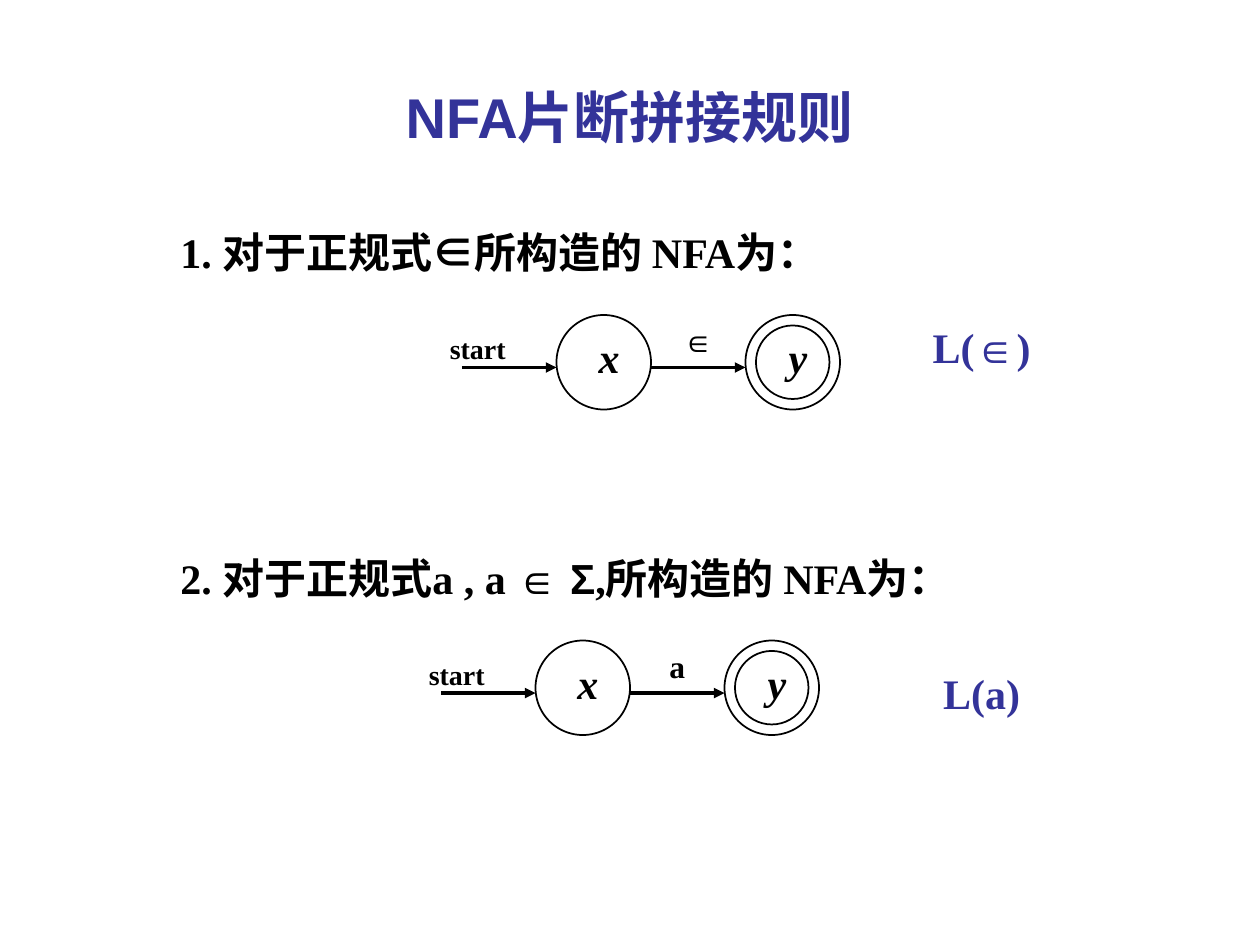
"""Build a slide with the NFA fragments for two basic regular expressions."""
from lxml import etree
from pptx import Presentation
from pptx.dml.color import RGBColor
from pptx.enum.shapes import MSO_CONNECTOR, MSO_SHAPE
from pptx.enum.text import MSO_ANCHOR, MSO_AUTO_SIZE, PP_ALIGN
from pptx.oxml.ns import qn
from pptx.util import Pt

LEFT, MID = PP_ALIGN.LEFT, PP_ALIGN.CENTER
OVAL = MSO_SHAPE.OVAL
LINE = MSO_CONNECTOR.STRAIGHT
GROW = MSO_AUTO_SIZE.SHAPE_TO_FIT_TEXT
ANCHOR = MSO_ANCHOR.MIDDLE


class Theme:
    ink = RGBColor(0x00, 0x00, 0x00)
    blue = RGBColor(0x33, 0x33, 0x99)
    sans, serif = "Arial", "Times New Roman"
    title, body, label, small = 32, 24, 18, 16


def write(para, runs, size, color, italic=None):
    for text, face in runs:
        run = para.add_run()
        run.text = text
        font = run.font
        font.name, font.size, font.bold = face, Pt(size), True
        font.italic = italic
        font.color.rgb = color


def add_text(shapes, box, runs, size, color=Theme.ink, align=MID, italic=None):
    frame = shapes.add_textbox(*map(Pt, box)).text_frame
    frame.word_wrap = True
    frame.auto_size = GROW
    para = frame.paragraphs[0]
    para.alignment = align
    write(para, runs, size, color, italic)


deck = Presentation()
deck.slide_width, deck.slide_height = Pt(720), Pt(540)
slide = deck.slides.add_slide(deck.slide_layouts[5])

title = slide.shapes.title
title.left, title.top, title.width, title.height = map(Pt, (36, 21.6, 648, 90))
title.text_frame.vertical_anchor = ANCHOR
head = title.text_frame.paragraphs[0]
head.alignment = MID
write(head, [("NFA片断拼接规则", Theme.sans)], Theme.title, Theme.blue)

rules = [
    (126, 318, 180, 180,
     [("1. 对于正规式", Theme.serif), ("∈", Theme.sans), ("所构造的 NFA为：", Theme.serif)],
     ("∈", Theme.sans),
     [("L(", Theme.serif), ("∈", Theme.sans), (")", Theme.serif)]),
    (312, 306, 366, 378,
     [("2. 对于正规式a , a ", Theme.serif), ("∈ Σ", Theme.sans),
      (",所构造的 NFA为：", Theme.serif)],
     ("a", Theme.serif),
     [("L(a)", Theme.serif)]),
]

for row, x, y, low, text, symbol, result in rules:
    add_text(slide.shapes, (96, row, 600, 36), text, Theme.body, align=LEFT)
    shapes = slide.shapes.add_group_shape().shapes
    add_text(shapes, (504, low, 114, 36), result, Theme.body, Theme.blue)

    for dx, dy, size in [(0, 0, 54), (108, 0, 54), (114, 6, 42)]:
        ring = shapes.add_shape(OVAL, Pt(x + dx), Pt(y + dy), Pt(size), Pt(size))
        ring.shadow.inherit = False
        ring.fill.background()
        ring.line.color.rgb = Theme.ink
        ring.line.width = Pt(1)

    for dx in (54, -54):
        edge = shapes.add_connector(LINE, Pt(x + dx), Pt(y + 30), Pt(x + dx + 54), Pt(y + 30))
        edge.line.color.rgb = Theme.ink
        edge.line.width = Pt(2)
        etree.SubElement(edge.line._get_or_add_ln(), qn("a:tailEnd"), type="triangle")
        etree.SubElement(edge._element.spPr, qn("a:effectLst"))

    add_text(shapes, (x + 60, y, 42, 28.8), [symbol], Theme.label)
    add_text(shapes, (x - 72, y + 6, 54, 26.4), [("start", Theme.serif)], Theme.small)
    for dx, name in [(12, "x"), (120, "y")]:
        add_text(shapes, (x + dx, y + 6, 36, 36), [(name, Theme.serif)], Theme.body, italic=True)

deck.save("out.pptx")
